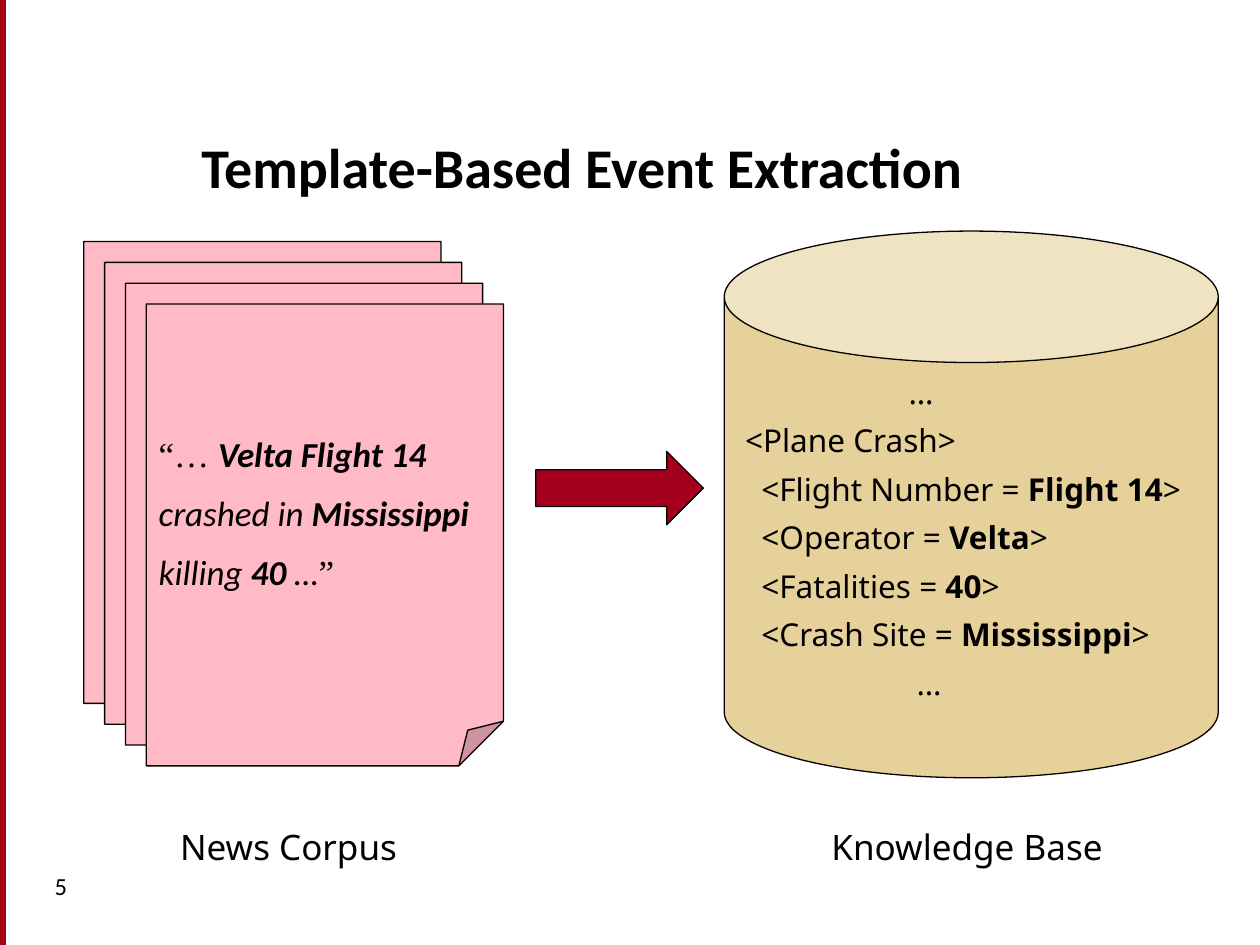
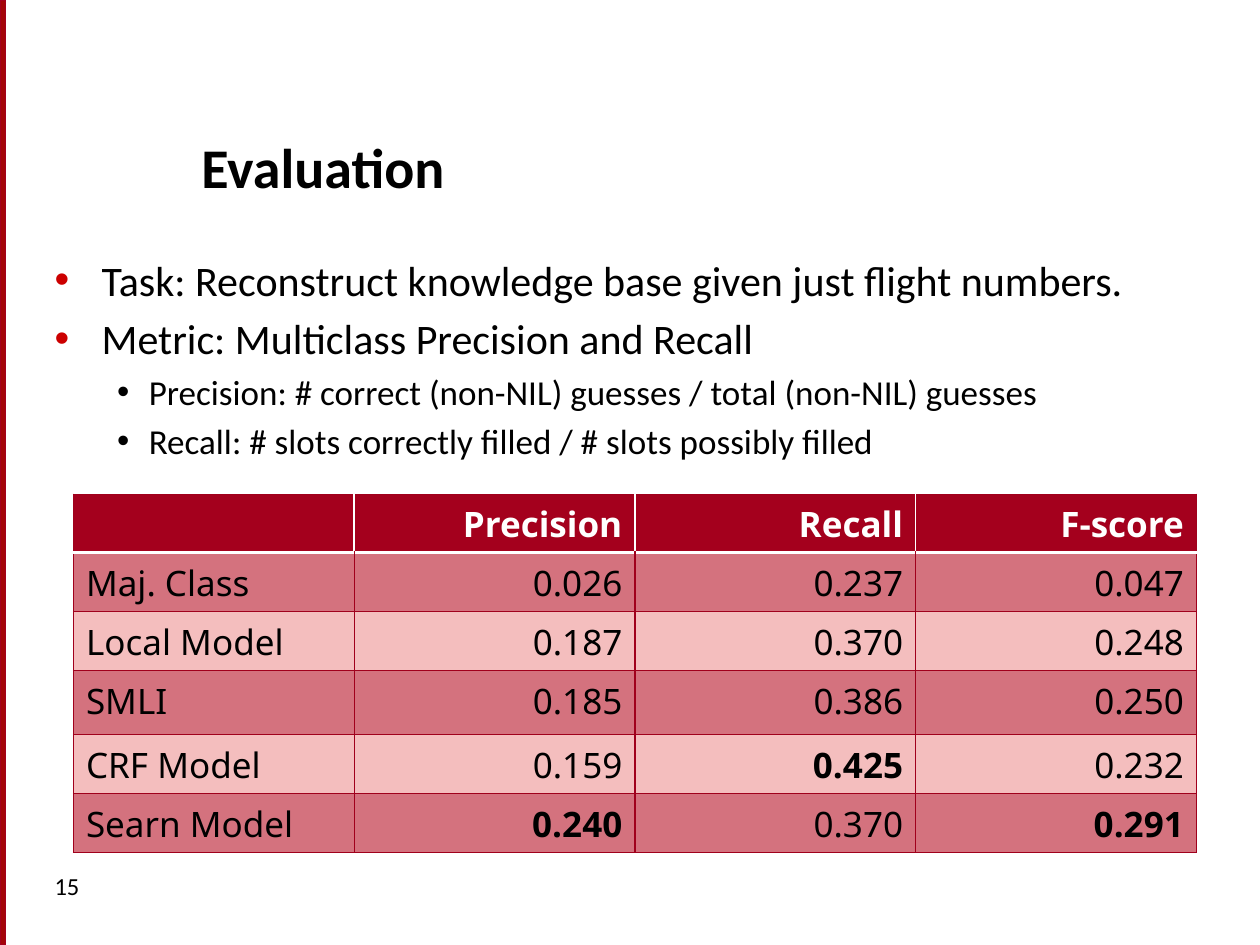
from dataclasses import dataclass
from lxml.etree import SubElement
from pptx import Presentation
from pptx.dml.color import RGBColor
from pptx.enum.shapes import MSO_SHAPE
from pptx.enum.text import MSO_ANCHOR, PP_ALIGN
from pptx.oxml.ns import qn
from pptx.util import Cm, Pt


@dataclass(frozen=True)
class Theme:
    black: str = "000000"
    white: str = "FFFFFF"
    red: str = "A4001D"
    bar: str = "A40508"
    bullet: str = "CC0000"
    grid: str = "A0001C"
    paper: str = "FFBAC6"
    sand: str = "E7D19A"
    dark: str = "D4727E"
    light: str = "F4BEBE"
    head: str = "Calibri"
    sans: str = "Noto Sans"
    serif: str = "Times New Roman"
    title: int = 32
    body: int = 24
    text: int = 20
    fact: int = 18
    page: int = 14


THEME = Theme()


def tint(name):
    return RGBColor.from_string(name)


def style(para, size, face, color=THEME.black, bold=False):
    font = para.font
    font.size, font.name, font.bold = Pt(size), face, bold
    font.color.rgb = tint(color)


def write(para, text):
    for place, part in enumerate(text.split("*")):
        if part:
            run = para.add_run()
            run.text = part
            if place % 2:
                run.font.bold = True


def lines(frame, texts):
    for place, text in enumerate(texts):
        para = frame.add_paragraph() if place else frame.paragraphs[0]
        write(para, text)
        yield para


def indent(para, left, first=0):
    props = para._p.get_or_add_pPr()
    props.set("marL", str(Cm(left)))
    props.set("indent", str(Cm(first)))
    return props


def dot(para, left, hang, color):
    props = indent(para, left, -hang)
    fill = SubElement(props, qn("a:buClr"))
    SubElement(fill, qn("a:srgbClr"), val=color)
    SubElement(props, qn("a:buFont"), typeface="Arial")
    SubElement(props, qn("a:buChar"), char="•")


def box(slide, area, text, size, face, bold=False, anchor=MSO_ANCHOR.TOP):
    frame = slide.shapes.add_textbox(*map(Cm, area)).text_frame
    frame.word_wrap = True
    frame.vertical_anchor = anchor
    for para in lines(frame, [text]):
        style(para, size, face, bold=bold)


def shape(slide, kind, area, fill, line=THEME.black):
    item = slide.shapes.add_shape(kind, *map(Cm, area))
    item.shadow.inherit = False
    item.fill.solid()
    item.fill.fore_color.rgb = tint(fill)
    item.line.color.rgb = tint(line)
    item.line.width = Pt(0.75)
    return item


def adjust(item, value):
    guides = item._element.spPr.find(qn("a:prstGeom")).get_or_add_avLst()
    for guide in list(guides):
        guides.remove(guide)
    SubElement(guides, qn("a:gd"), name="adj", fmla=f"val {round(value * 100000)}")


def inside(item):
    frame = item.text_frame
    frame.word_wrap = True
    frame.vertical_anchor = MSO_ANCHOR.MIDDLE
    return frame


def page(deck, title, number):
    slide = deck.slides.add_slide(deck.slide_layouts[6])
    shape(slide, MSO_SHAPE.RECTANGLE, (0, 0, 0.12, 19.05), THEME.bar, THEME.red)
    box(slide, (3.81, 1.42, 20.75, 2.74), title, THEME.title, THEME.head,
        True, MSO_ANCHOR.BOTTOM)
    box(slide, (0.85, 17.43, 5.5, 1.27), number, THEME.page, THEME.head)
    return slide


def stack(slide, texts, count=4, step=0.42):
    for place in range(count):
        area = (1.69 + place * step, 4.87 + place * step, 7.2, 9.31)
        sheet = shape(slide, MSO_SHAPE.FOLDED_CORNER, area, THEME.paper)
        adjust(sheet, 0.125)
    for para in lines(inside(sheet), texts):
        para.alignment = PP_ALIGN.LEFT
        para.space_before = Pt(9.6)
        style(para, THEME.text, THEME.head)
        para.font.italic = True
        for run in para.runs:
            if run.text[0] in "“”":
                run.font.name = THEME.serif
                run.font.italic = False


def store(slide, facts):
    can = shape(slide, MSO_SHAPE.CAN, (14.6, 4.66, 9.96, 11.02), THEME.sand)
    adjust(can, 0.266)
    texts, lefts = zip(*facts)
    for para, left in zip(lines(inside(can), texts), lefts):
        para.alignment = PP_ALIGN.LEFT
        para.space_before = Pt(6.1)
        style(para, THEME.fact, THEME.sans)
        indent(para, left)


def points(slide, items):
    frame = slide.shapes.add_textbox(*map(Cm, (0.85, 5, 23.7, 12.34))).text_frame
    frame.word_wrap = True
    looks = ((THEME.body, 0.95, 0.95, THEME.bullet),
             (THEME.text, 1.9, 0.64, THEME.black))
    levels, texts = zip(*items)
    for para, level in zip(lines(frame, texts), levels):
        size, left, hang, color = looks[level]
        para.level = level
        para.space_before = Pt(size * 0.2)
        dot(para, left, hang, color)
        style(para, size, THEME.head)


def edge(cell, side, color, width):
    line = SubElement(cell._tc.get_or_add_tcPr(), qn("a:" + side), w=str(Pt(width)))
    fill = SubElement(line, qn("a:solidFill"))
    SubElement(fill, qn("a:srgbClr"), val=color)


def paint(cell, text, row, col, fill):
    top = row == 0
    for side in ("lnL", "lnR", "lnT", "lnB"):
        rule = (top and side == "lnB") or (row == 1 and side == "lnT")
        if top and (side == "lnL" and col or side == "lnR" and col < 3):
            continue
        edge(cell, side, THEME.white if rule else THEME.grid, 2 if rule else 0.75)
    cell.fill.solid()
    cell.fill.fore_color.rgb = tint(fill)
    para = cell.text_frame.paragraphs[0]
    write(para, text)
    para.alignment = PP_ALIGN.RIGHT if col else PP_ALIGN.LEFT
    style(para, THEME.text, THEME.sans, THEME.white if top else THEME.black, top)


def grid(slide, rows, tall):
    area = map(Cm, (1.48, 9.96, 22.64, sum(tall)))
    table = slide.shapes.add_table(len(rows), len(rows[0]), *area).table
    for col in table.columns:
        col.width = Cm(5.66)
    for row, texts in enumerate(rows):
        table.rows[row].height = Cm(tall[row])
        fill = (THEME.dark if row % 2 else THEME.light) if row else THEME.red
        for col, text in enumerate(texts):
            paint(table.cell(row, col), text, row, col, fill)


def events(deck):
    slide = page(deck, "Template-Based Event Extraction", "5")
    stack(slide, ["“… *Velta Flight 14*", "crashed in *Mississippi*",
                  "killing *40* …**”"])
    store(slide, [("…", 3.47), ("<Plane Crash>", 0.17),
                  ("<Flight Number = *Flight 14*>", 0.5),
                  ("<Operator = *Velta*>", 0.5),
                  ("<Fatalities = *40*>", 0.5),
                  ("<Crash Site = *Mississippi*>", 0.5), ("…", 3.63)])
    for left, width, text in ((3.38, 8, "News Corpus"), (16.51, 7, "Knowledge Base")):
        box(slide, (left, 16.51, width, 1.12), text, THEME.text, THEME.sans)
    shape(slide, MSO_SHAPE.RIGHT_ARROW, (10.8, 9.1, 3.38, 1.48), THEME.red)


def scores(deck):
    slide = page(deck, "Evaluation", "15")
    points(slide, [
        (0, "Task: Reconstruct knowledge base given just flight numbers."),
        (0, "Metric: Multiclass Precision and Recall"),
        (1, "Precision: # correct (non-NIL) guesses / total (non-NIL) guesses"),
        (1, "Recall: # slots correctly filled / # slots possibly filled")])
    grid(slide, [
        ("", "Precision", "Recall", "F-score"),
        ("Maj. Class", "0.026", "0.237", "0.047"),
        ("Local Model", "0.187", "0.370", "0.248"),
        ("SMLI", "0.185", "0.386", "0.250"),
        ("CRF Model", "0.159", "*0.425*", "0.232"),
        ("Searn Model", "*0.240*", "0.370", "*0.291*")],
        (1.17, 1.19, 1.19, 1.3, 1.19, 1.19))


def main():
    deck = Presentation()
    deck.slide_width, deck.slide_height = Cm(25.4), Cm(19.05)
    events(deck)
    scores(deck)
    deck.save("out.pptx")


if __name__ == "__main__":
    main()
